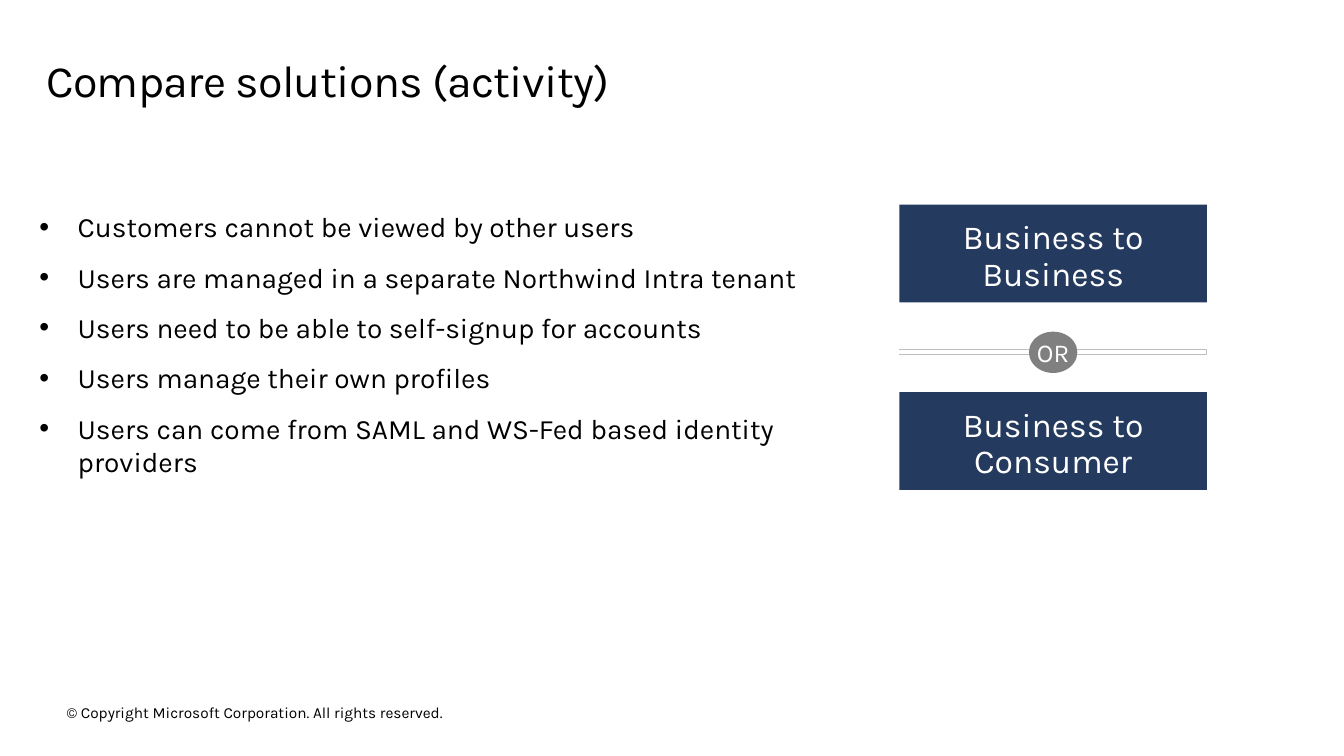
from dataclasses import dataclass

from lxml import etree
from pptx import Presentation
from pptx.dml.color import RGBColor
from pptx.enum import shapes, text
from pptx.oxml.ns import qn
from pptx.util import Inches, Pt

TITLE = "Compare solutions (activity)"
STATEMENTS = [
    "Customers cannot be viewed by other users",
    "Users are managed in a separate Northwind Intra tenant",
    "Users need to be able to self-signup for accounts",
    "Users manage their own profiles",
    "Users can come from SAML and WS-Fed based identity providers",
]
OPTIONS = ["Business to Business", "Business to Consumer"]
SEPARATOR = "OR"
COPYRIGHT = "© Copyright Microsoft Corporation. All rights reserved."


@dataclass(frozen=True)
class Theme:
    font: str = "Karla"
    ink: str = "000000"
    light: str = "FFFFFF"
    option: str = "243A5E"
    badge: str = "808080"
    rule: str = "BFBFBF"
    title_size: float = 32
    option_size: float = 24
    list_size: float = 20
    badge_size: float = 18.4
    footer_size: float = 11


THEME = Theme()
WIDE_INSETS = (0.2, 0.16, 0.2, 0.16)
LEFT_ALIGNED, CENTERED = text.PP_ALIGN.LEFT, text.PP_ALIGN.CENTER
TOP, MIDDLE = text.MSO_ANCHOR.TOP, text.MSO_ANCHOR.MIDDLE

# Inches
LIST_BOX = (0.29, 2.03, 7.87, 3.3)
BULLET_INDENT = 0.38
OPTION_LEFT, OPTION_TOP = 8.92, 2.03
OPTION_WIDTH, OPTION_HEIGHT = 3.05, 0.97
OPTION_PITCH = 1.86
RULE_HEIGHT = 0.05
BADGE_WIDTH, BADGE_HEIGHT = 0.48, 0.41


def place(shape, box):
    shape.left, shape.top, shape.width, shape.height = map(Inches, box)


def setup_frame(shape, insets, anchor=TOP, wrap=True):
    frame = shape.text_frame
    frame.auto_size = text.MSO_AUTO_SIZE.NONE
    frame.word_wrap = wrap
    frame.vertical_anchor = anchor
    (frame.margin_left, frame.margin_top,
     frame.margin_right, frame.margin_bottom) = map(Inches, insets)
    return frame


def write(paragraph, words, size, color, align=LEFT_ALIGNED, line_spacing=1.0, after=0):
    paragraph.alignment = align
    paragraph.line_spacing = line_spacing
    paragraph.space_before = Pt(0)
    paragraph.space_after = Pt(after)
    run = paragraph.add_run()
    run.text = words
    run.font.name = THEME.font
    run.font.size = Pt(size)
    run.font.color.rgb = RGBColor.from_string(color)
    return run


def add_bullet(paragraph):
    properties = paragraph._p.get_or_add_pPr()
    indent = Inches(BULLET_INDENT)
    properties.set("marL", str(indent))
    properties.set("indent", str(-indent))
    etree.SubElement(properties, qn("a:buFont")).set("typeface", "Arial")
    etree.SubElement(properties, qn("a:buChar")).set("char", "•")


def add_filled(slide, kind, box, color):
    shape = slide.shapes.add_shape(kind, *map(Inches, box))
    shape.shadow.inherit = False
    shape.fill.solid()
    shape.fill.fore_color.rgb = RGBColor.from_string(color)
    shape.line.fill.background()
    return shape


def add_footer(slide):
    footer = slide.shapes.add_textbox(*map(Inches, (0.46, 6.84, 4.15, 0.49)))
    frame = setup_frame(footer, WIDE_INSETS, wrap=False)
    write(frame.paragraphs[0], COPYRIGHT, THEME.footer_size, THEME.ink,
          line_spacing=0.9, after=6)


def fill_title(slide):
    title = slide.shapes.title
    place(title, (0.46, 0.48, 12.4, 0.74))
    frame = setup_frame(title, (0, 0.1, 0.16, 0.1))
    run = write(frame.paragraphs[0], TITLE, THEME.title_size, THEME.ink, line_spacing=0.9)
    run._r.get_or_add_rPr().set("spc", "-50")


def fill_list(slide):
    body = slide.placeholders[1]
    place(body, LIST_BOX)
    frame = setup_frame(body, (0.1, 0.05, 0.1, 0.05))
    for index, statement in enumerate(STATEMENTS):
        paragraph = frame.add_paragraph() if index else frame.paragraphs[0]
        add_bullet(paragraph)
        write(paragraph, statement, THEME.list_size, THEME.ink, after=12)


def add_options(slide):
    for index, option in enumerate(OPTIONS):
        box = (OPTION_LEFT, OPTION_TOP + index * OPTION_PITCH, OPTION_WIDTH, OPTION_HEIGHT)
        shape = add_filled(slide, shapes.MSO_SHAPE.RECTANGLE, box, THEME.option)
        write(setup_frame(shape, WIDE_INSETS).paragraphs[0], option,
              THEME.option_size, THEME.light, CENTERED, 0.9)


def add_separator(slide):
    """Draw the open-ended double rule and its badge midway between the options."""
    center_x = OPTION_LEFT + OPTION_WIDTH / 2
    center_y = OPTION_TOP + (OPTION_PITCH + OPTION_HEIGHT) / 2 + 0.05
    left, right = Inches(OPTION_LEFT), Inches(OPTION_LEFT + OPTION_WIDTH)
    upper, lower = (Inches(center_y + side * RULE_HEIGHT / 2) for side in (-1, 1))
    builder = slide.shapes.build_freeform(left, lower)
    builder.add_line_segments([(right, lower), (right, upper), (left, upper)], close=False)
    rule = builder.convert_to_shape()
    rule.shadow.inherit = False
    rule.fill.background()
    rule.line.color.rgb = RGBColor.from_string(THEME.rule)
    rule.line.width = Pt(0.75)

    box = (center_x - BADGE_WIDTH / 2, center_y - BADGE_HEIGHT / 2, BADGE_WIDTH, BADGE_HEIGHT)
    badge = add_filled(slide, shapes.MSO_SHAPE.OVAL, box, THEME.badge)
    frame = setup_frame(badge, (0.1, 0.05, 0.1, 0.05), MIDDLE, wrap=False)
    write(frame.paragraphs[0], SEPARATOR, THEME.badge_size, THEME.light, CENTERED)


def main():
    presentation = Presentation()
    presentation.slide_width, presentation.slide_height = Inches(13.33), Inches(7.5)
    slide = presentation.slides.add_slide(presentation.slide_layouts[1])
    add_footer(slide)
    fill_title(slide)
    fill_list(slide)
    add_options(slide)
    add_separator(slide)
    presentation.save("out.pptx")


if __name__ == "__main__":
    main()
